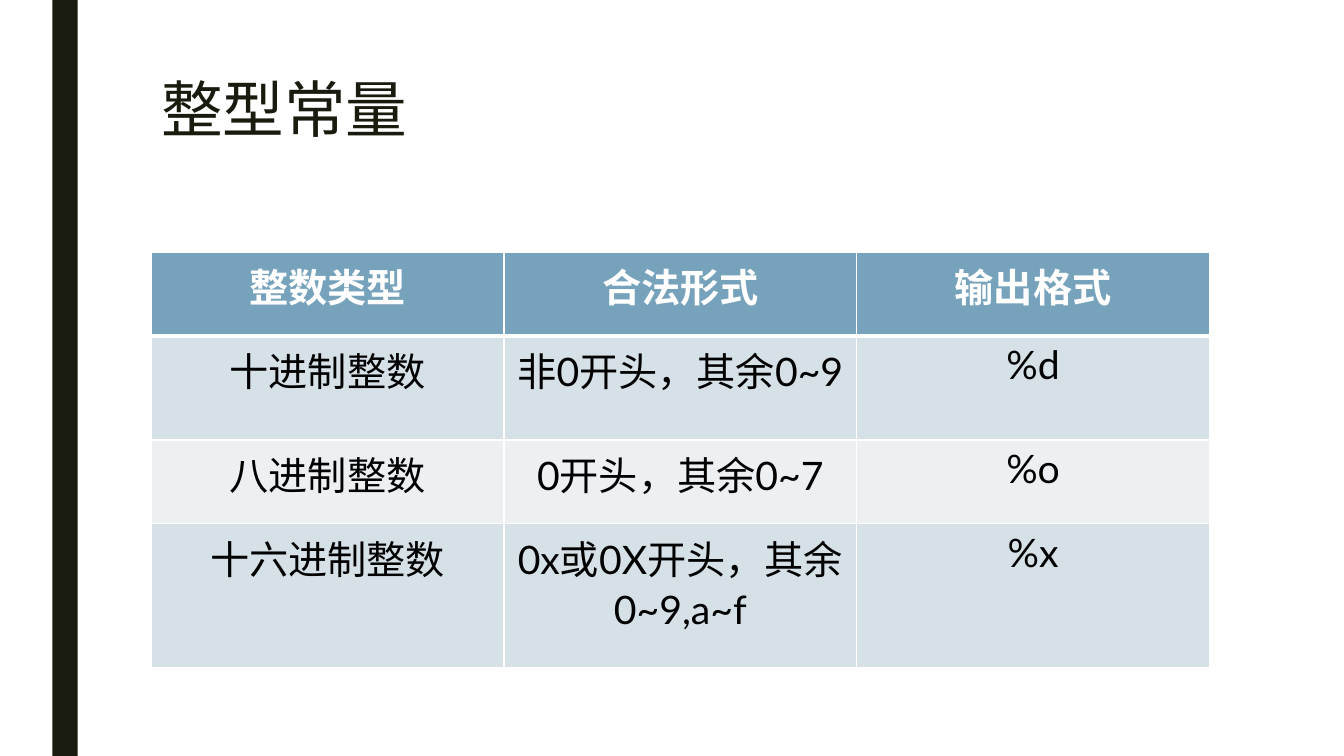
from dataclasses import dataclass

from lxml import etree
from pptx import Presentation
from pptx.dml.color import RGBColor
from pptx.enum.shapes import MSO_SHAPE
from pptx.enum.text import MSO_ANCHOR, PP_ALIGN
from pptx.oxml.ns import qn
from pptx.util import Cm, Pt

RECTANGLE = MSO_SHAPE.RECTANGLE
TOP = MSO_ANCHOR.TOP
LEFT, CENTER = PP_ALIGN.LEFT, PP_ALIGN.CENTER


@dataclass(frozen=True)
class Theme:
    """Colours, fonts and type sizes of the slide."""

    dark: str = "191B0E"
    header: str = "77A2BB"
    bands: tuple = ("D6E0E7", "ECF0F3")
    white: str = "FFFFFF"
    black: str = "000000"
    latin: str = "Lato"
    chinese: str = "Noto Sans CJK SC"
    title_size: int = 44
    table_size: int = 28
    thin: int = 1
    thick: int = 3


THEME = Theme()
SLIDE_WIDTH, SLIDE_HEIGHT = Cm(33.87), Cm(19.05)
CONTENT_LEFT, CONTENT_WIDTH = Cm(3.81), Cm(26.67)
ROW_HEIGHTS = (Cm(2.11), Cm(2.11), Cm(2.11), Cm(3.63))
INTEGER_TYPES = (
    ("整数类型", "合法形式", "输出格式"),
    ("十进制整数", "非0开头，其余0~9", "%d"),
    ("八进制整数", "0开头，其余0~7", "%o"),
    ("十六进制整数", "0x或0X开头，其余0~9,a~f", "%x"),
)


def style_paragraph(paragraph, latin, size, color, bold=False, alignment=LEFT):
    """Set the alignment and the Latin and Chinese fonts of a paragraph."""
    paragraph.alignment = alignment
    font = paragraph.font
    font.name = latin
    font.size = Pt(size)
    font.bold = bold
    font.color.rgb = RGBColor.from_string(color)
    properties = paragraph._p.pPr.find(qn("a:defRPr"))
    etree.SubElement(properties, qn("a:ea"), typeface=THEME.chinese)


def add_side_bar(slide):
    """Draw the dark bar that runs down the left of the slide."""
    shape = slide.shapes.add_shape(RECTANGLE, Cm(1.32), 0, Cm(0.64), SLIDE_HEIGHT)
    shape.shadow.inherit = False
    shape.fill.solid()
    shape.fill.fore_color.rgb = RGBColor.from_string(THEME.dark)
    shape.line.fill.background()


def add_title(slide, text):
    """Add the slide title."""
    shape = slide.shapes.add_textbox(CONTENT_LEFT, Cm(1.9), CONTENT_WIDTH, Cm(4.11))
    frame = shape.text_frame
    frame.word_wrap = True
    frame.vertical_anchor = TOP
    paragraph = frame.paragraphs[0]
    paragraph.text = text
    paragraph.line_spacing = 0.89
    style_paragraph(paragraph, THEME.chinese, THEME.title_size, THEME.dark)


def add_borders(cell, top, bottom):
    """Give a cell white borders, with the given top and bottom widths."""
    properties = cell._tc.get_or_add_tcPr()
    widths = {"L": THEME.thin, "R": THEME.thin, "T": top, "B": bottom}
    for side, width in widths.items():
        line = etree.SubElement(properties, qn(f"a:ln{side}"), w=str(Pt(width)))
        fill = etree.SubElement(line, qn("a:solidFill"))
        etree.SubElement(fill, qn("a:srgbClr"), val=THEME.white)


def fill_cell(cell, text, row_index):
    """Write and format one table cell according to its row."""
    is_header = row_index == 0
    add_borders(
        cell,
        top=THEME.thick if row_index == 1 else THEME.thin,
        bottom=THEME.thick if is_header else THEME.thin,
    )
    background = THEME.header if is_header else THEME.bands[(row_index - 1) % 2]
    cell.fill.solid()
    cell.fill.fore_color.rgb = RGBColor.from_string(background)
    cell.text = text
    style_paragraph(
        cell.text_frame.paragraphs[0],
        THEME.latin,
        THEME.table_size,
        THEME.white if is_header else THEME.black,
        bold=is_header,
        alignment=CENTER,
    )


def add_integer_table(slide, rows):
    """Add the table of integer types with equal columns."""
    frame = slide.shapes.add_table(
        len(rows), len(rows[0]), CONTENT_LEFT, Cm(6.35), CONTENT_WIDTH, sum(ROW_HEIGHTS)
    )
    table = frame.table
    for row_index, texts in enumerate(rows):
        table.rows[row_index].height = ROW_HEIGHTS[row_index]
        for column_index, text in enumerate(texts):
            fill_cell(table.cell(row_index, column_index), text, row_index)


def main():
    """Build and save the slide."""
    presentation = Presentation()
    presentation.slide_width = SLIDE_WIDTH
    presentation.slide_height = SLIDE_HEIGHT
    slide = presentation.slides.add_slide(presentation.slide_layouts[6])
    add_side_bar(slide)
    add_title(slide, "整型常量")
    add_integer_table(slide, INTEGER_TYPES)
    presentation.save("out.pptx")


if __name__ == "__main__":
    main()
